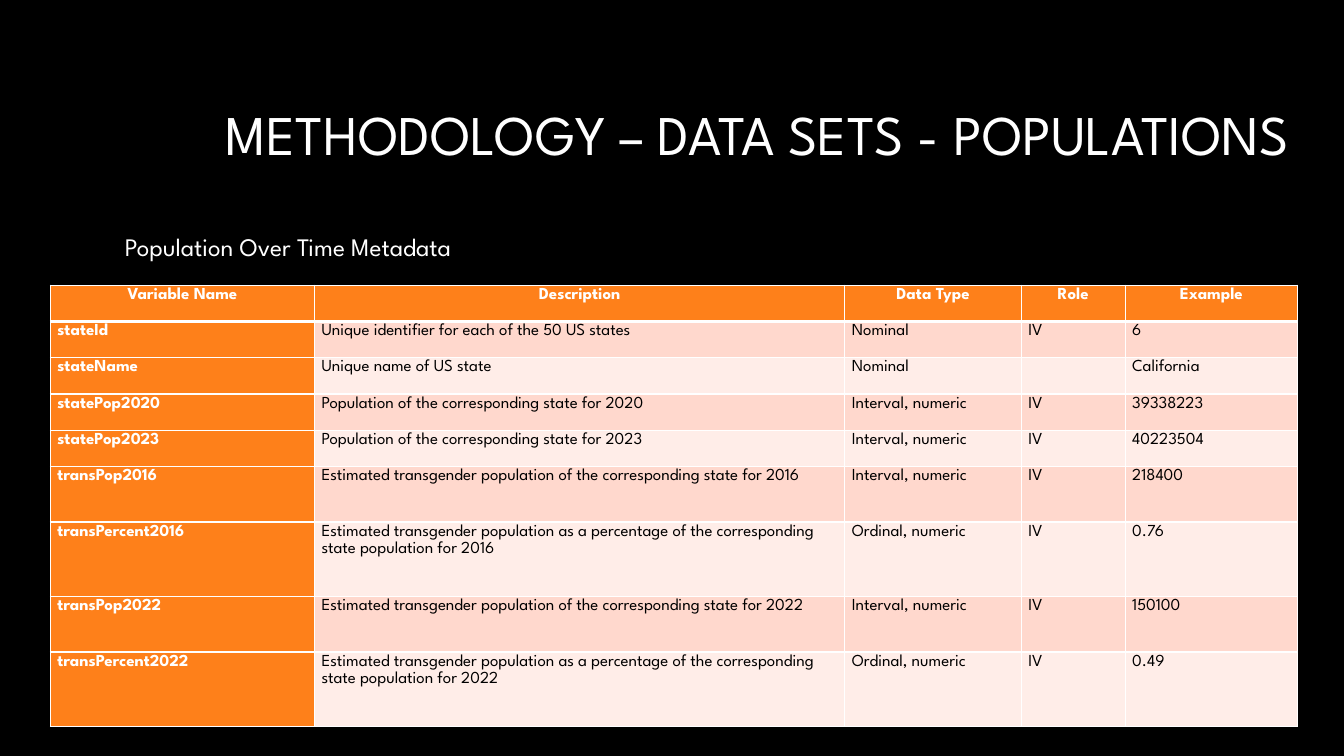
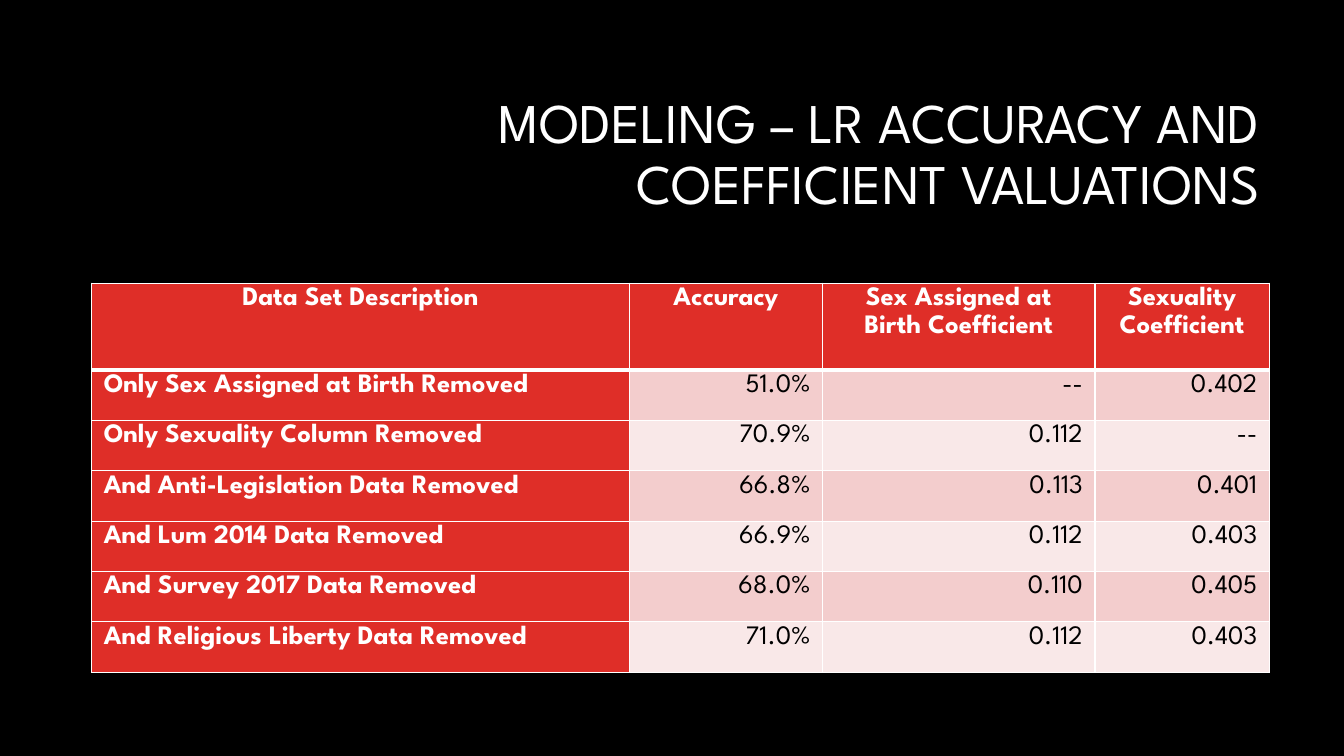
from dataclasses import dataclass

from lxml import etree
from pptx import Presentation
from pptx.dml.color import RGBColor
from pptx.enum.text import MSO_ANCHOR, PP_ALIGN
from pptx.oxml.ns import qn
from pptx.util import Inches, Pt

LEFT, CENTER, RIGHT = PP_ALIGN.LEFT, PP_ALIGN.CENTER, PP_ALIGN.RIGHT
MIDDLE = MSO_ANCHOR.MIDDLE
BLANK_LAYOUT = 6


@dataclass(frozen=True)
class Theme:
    font: str = "League Spartan"
    background: str = "000000"
    light: str = "FFFFFF"
    dark: str = "000000"
    title_size: int = 40
    caption_size: int = 18
    title_spacing: float = 0.9
    cell_spacing: float = 1.15
    rule: int = 1
    header_rule: int = 3


@dataclass(frozen=True)
class TableStyle:
    accent: str
    bands: tuple
    size: int
    side_margin: float
    value_align: PP_ALIGN


THEME = Theme()
ORANGE = TableStyle("FE801A", ("FFD8CD", "FFEDE8"), 12, 0.07, LEFT)
RED = TableStyle("DF2E28", ("F3CDCD", "F9E8E8"), 19, 0.12, RIGHT)

POPULATION_COLUMNS = (2.62, 5.26, 1.75, 1.03, 1.71)
POPULATION_HEIGHTS = (0.36,) * 5 + (0.55, 0.74) * 2
POPULATION_ROWS = [
    ("Variable Name", "Description", "Data Type", "Role", "Example"),
    ("stateId", "Unique identifier for each of the 50 US states", "Nominal", "IV", "6"),
    ("stateName", "Unique name of US state", "Nominal", "", "California"),
    ("statePop2020", "Population of the corresponding state for 2020",
     "Interval, numeric", "IV", "39338223"),
    ("statePop2023", "Population of the corresponding state for 2023",
     "Interval, numeric", "IV", "40223504"),
    ("transPop2016", "Estimated transgender population of the corresponding state for 2016",
     "Interval, numeric", "IV", "218400"),
    ("transPercent2016", "Estimated transgender population as a percentage of the "
     "corresponding state population for 2016", "Ordinal, numeric", "IV", "0.76"),
    ("transPop2022", "Estimated transgender population of the corresponding state for 2022",
     "Interval, numeric", "IV", "150100"),
    ("transPercent2022", "Estimated transgender population as a percentage of the "
     "corresponding state population for 2022", "Ordinal, numeric", "IV", "0.49"),
]

ACCURACY_COLUMNS = (5.33, 1.92, 2.7, 1.73)
ACCURACY_HEIGHTS = (0.86,) + (0.5,) * 6
ACCURACY_ROWS = [
    ("Data Set Description", "Accuracy", "Sex Assigned at Birth Coefficient",
     "Sexuality Coefficient"),
    ("Only Sex Assigned at Birth Removed", "51.0%", "--", "0.402"),
    ("Only Sexuality Column Removed", "70.9%", "0.112", "--"),
    ("And Anti-Legislation Data Removed", "66.8%", "0.113", "0.401"),
    ("And Lum 2014 Data Removed", "66.9%", "0.112", "0.403"),
    ("And Survey 2017 Data Removed", "68.0%", "0.110", "0.405"),
    ("And Religious Liberty Data Removed", "71.0%", "0.112", "0.403"),
]


def paint(fill, color):
    fill.solid()
    fill.fore_color.rgb = RGBColor.from_string(color)


def write(frame, text, size, color, align=LEFT, spacing=1.0, bold=False):
    frame.text = text
    paragraph = frame.paragraphs[0]
    paragraph.alignment = align
    paragraph.line_spacing = spacing
    for run in paragraph.runs:
        run.font.name = THEME.font
        run.font.size = Pt(size)
        run.font.bold = bold
        run.font.color.rgb = RGBColor.from_string(color)


def add_slide(deck):
    slide = deck.slides.add_slide(deck.slide_layouts[BLANK_LAYOUT])
    paint(slide.background.fill, THEME.background)
    return slide


def add_title(slide, box, text):
    frame = slide.shapes.add_textbox(*map(Inches, box)).text_frame
    frame.word_wrap = True
    frame.vertical_anchor = MIDDLE
    write(frame, text, THEME.title_size, THEME.light, RIGHT, THEME.title_spacing)


def add_caption(slide, box, text):
    frame = slide.shapes.add_textbox(*map(Inches, box)).text_frame
    frame.word_wrap = False
    write(frame, text, THEME.caption_size, THEME.light)


def add_borders(cell, top, bottom):
    """Rule all four sides; must precede the fill in the cell properties."""
    properties = cell._tc.get_or_add_tcPr()
    widths = {"a:lnL": THEME.rule, "a:lnR": THEME.rule, "a:lnT": top, "a:lnB": bottom}
    for side, width in widths.items():
        line = etree.SubElement(properties, qn(side), w=str(Pt(width)))
        solid = etree.SubElement(line, qn("a:solidFill"))
        etree.SubElement(solid, qn("a:srgbClr"), val=THEME.light)


def format_cell(cell, text, row, column, style):
    is_header = row == 0
    is_label = is_header or column == 0
    cell.margin_left = cell.margin_right = Inches(style.side_margin)
    cell.margin_top = cell.margin_bottom = 0
    add_borders(cell,
                top=THEME.header_rule if row == 1 else THEME.rule,
                bottom=THEME.header_rule if is_header else THEME.rule)
    paint(cell.fill, style.accent if is_label else style.bands[(row - 1) % 2])
    align = CENTER if is_header else LEFT if is_label else style.value_align
    write(cell.text_frame, text, style.size, THEME.light if is_label else THEME.dark,
          align, THEME.cell_spacing, bold=is_label)


def add_data_table(slide, left, top, widths, heights, rows, style):
    box = map(Inches, (left, top, sum(widths), sum(heights)))
    table = slide.shapes.add_table(len(rows), len(widths), *box).table
    for column, width in zip(table.columns, widths):
        column.width = Inches(width)
    for table_row, height in zip(table.rows, heights):
        table_row.height = Inches(height)
    for r, values in enumerate(rows):
        for c, value in enumerate(values):
            format_cell(table.cell(r, c), value, r, c, style)


def build_populations(deck):
    slide = add_slide(deck)
    add_title(slide, (0.8, 0.66, 12.08, 1.41), "METHODOLOGY – DATA SETS - POPULATIONS")
    add_caption(slide, (1.14, 2.25, 4.15, 0.4), "Population Over Time Metadata")
    add_data_table(slide, 0.5, 2.83, POPULATION_COLUMNS, POPULATION_HEIGHTS,
                   POPULATION_ROWS, ORANGE)


def build_accuracy(deck):
    slide = add_slide(deck)
    add_title(slide, (3.17, 0.84, 9.42, 1.41),
              "MODELING – LR ACCURACY AND COEFFICIENT VALUATIONS")
    add_data_table(slide, 0.91, 2.81, ACCURACY_COLUMNS, ACCURACY_HEIGHTS,
                   ACCURACY_ROWS, RED)


def main():
    deck = Presentation()
    deck.slide_width, deck.slide_height = Inches(13.33), Inches(7.5)
    build_populations(deck)
    build_accuracy(deck)
    deck.save("out.pptx")


if __name__ == "__main__":
    main()
